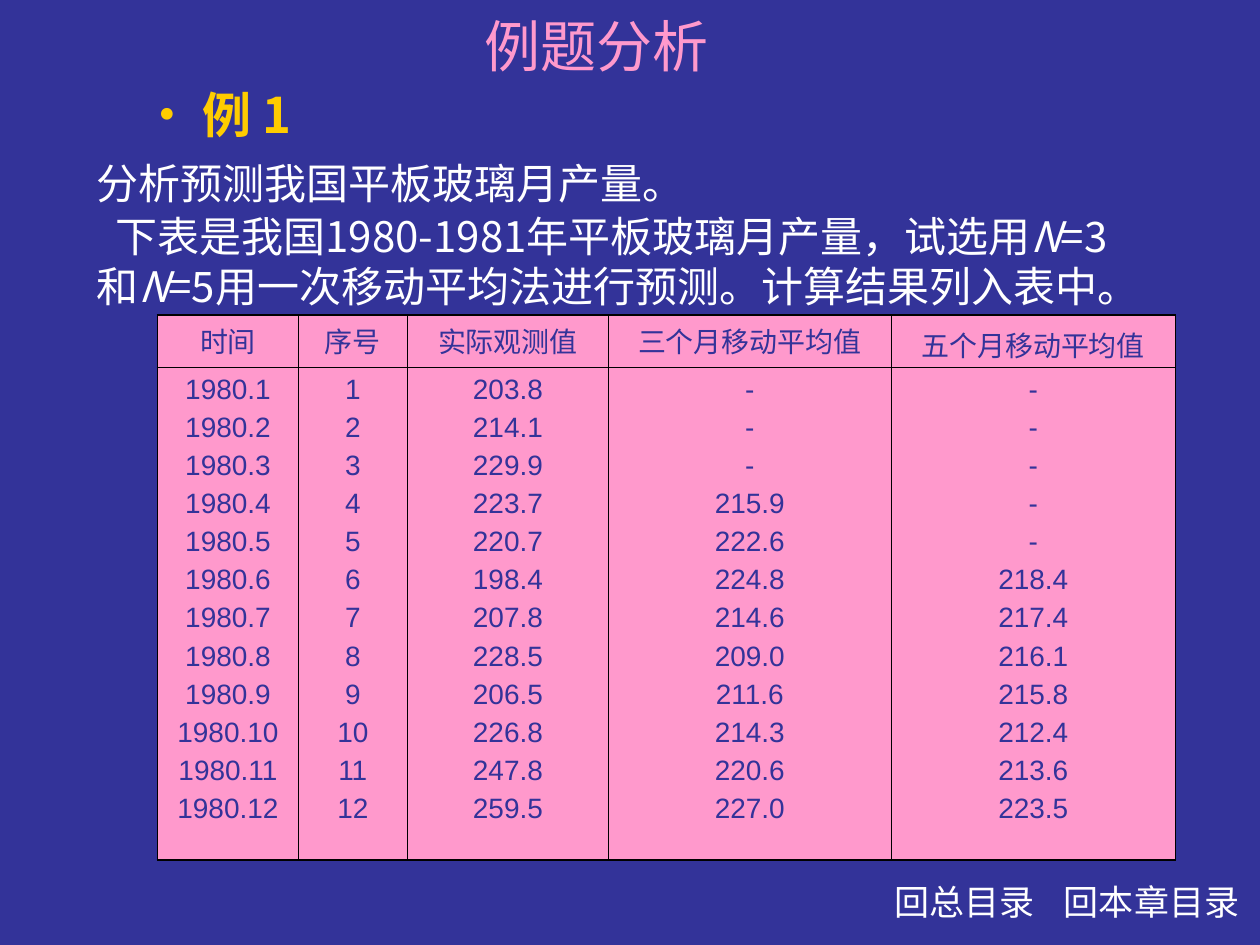
from dataclasses import dataclass

from lxml.etree import SubElement
from pptx import Presentation
from pptx.dml.color import RGBColor
from pptx.enum.text import MSO_ANCHOR as Anchor, MSO_AUTO_SIZE as AutoSize, PP_ALIGN as Align
from pptx.oxml.ns import qn
from pptx.util import Pt

CJK, SERIF, SANS = "Noto Sans CJK SC", "Times New Roman", "Arial"
NAVY, PINK, GOLD, WHITE, BLACK = "333399", "FF99CC", "FFCC00", "FFFFFF", "000000"
THIN, THICK = 0.45, 1.08


@dataclass
class Span:
    text: str
    size: float
    color: str
    font: str = CJK
    bold: bool = False
    italic: bool = False


@dataclass
class Para:
    spans: list[Span]
    line: float
    align: Align = Align.LEFT
    before: float = 0
    margin: float = 0
    indent: float = 0
    bullet: str = ""


@dataclass
class Box:
    left: float
    top: float
    width: float
    height: float
    paras: list[Para]
    inset_x: float = 7.2


@dataclass
class Column:
    title: str
    width: float
    values: list[str]
    title_inset: float = 3


def hex_color(value: str) -> RGBColor:
    return RGBColor.from_string(value)


def add_span(para, span: Span) -> None:
    run = para.add_run()
    run.text = span.text
    font = run.font
    font.size, font.name = Pt(span.size), span.font
    font.bold, font.italic = span.bold, span.italic
    font.color.rgb = hex_color(span.color)
    SubElement(font._element, qn("a:ea"), typeface=CJK)


def fill_text(frame, paras: list[Para]) -> None:
    for index, item in enumerate(paras):
        para = frame.paragraphs[0] if index == 0 else frame.add_paragraph()
        para.alignment = item.align
        para.line_spacing, para.space_before = Pt(item.line), Pt(item.before)
        props = para._p.get_or_add_pPr()
        props.set("marL", str(Pt(item.margin)))
        props.set("indent", str(Pt(item.indent)))
        if item.bullet:
            SubElement(props, qn("a:buFont"), typeface=SERIF)
            SubElement(props, qn("a:buChar"), char=item.bullet)
        for span in item.spans:
            add_span(para, span)


def add_box(page, box: Box) -> None:
    shape = page.shapes.add_textbox(Pt(box.left), Pt(box.top), Pt(box.width), Pt(box.height))
    frame = shape.text_frame
    frame.word_wrap, frame.auto_size = True, AutoSize.SHAPE_TO_FIT_TEXT
    frame.margin_left = frame.margin_right = Pt(box.inset_x)
    # Fixed line spacing lifts the first line by a tenth of its size.
    frame.margin_top = Pt(3.6 + box.paras[0].spans[0].size / 10)
    frame.margin_bottom = Pt(3.6)
    fill_text(frame, box.paras)


def set_borders(cell, left: float, right: float, top: float, bottom: float) -> None:
    props = cell._tc.get_or_add_tcPr()
    sides = {"a:lnL": left, "a:lnR": right, "a:lnT": top, "a:lnB": bottom}
    for index, (tag, width) in enumerate(sides.items()):
        line = SubElement(props, qn(tag), w=str(Pt(width)))
        SubElement(SubElement(line, qn("a:solidFill")), qn("a:srgbClr"), val=BLACK)
        props.insert(index, line)  # borders come before the fill


def add_data_table(page, left: float, top: float, heights: list[float],
                   columns: list[Column]) -> None:
    table = page.shapes.add_table(
        len(heights), len(columns), Pt(left), Pt(top),
        Pt(sum(column.width for column in columns)), Pt(sum(heights))).table
    table.first_row = table.horz_banding = False
    for row, height in zip(table.rows, heights):
        row.height = Pt(height)
    last = len(columns) - 1
    for index, column in enumerate(columns):
        table.columns[index].width = Pt(column.width)
        head, body = table.cell(0, index), table.cell(1, index)
        for cell in (head, body):
            cell.fill.solid()
            cell.fill.fore_color.rgb = hex_color(PINK)
            cell.margin_left = cell.margin_right = Pt(1.5)
            set_borders(cell, THICK if index == 0 else THIN, THICK if index == last else THIN,
                        THICK if cell is head else THIN, THICK if cell is body else THIN)
        head.vertical_anchor, body.vertical_anchor = Anchor.MIDDLE, Anchor.TOP
        head.margin_top, head.margin_bottom = Pt(column.title_inset), Pt(0)
        body.margin_top = body.margin_bottom = Pt(3.6)
        fill_text(head.text_frame,
                  [Para([Span(column.title, 16, NAVY, SANS)], 19.2, Align.CENTER)])
        fill_text(body.text_frame,
                  [Para([Span(value, 16, NAVY, SANS)], 17.8, Align.CENTER, before=4)
                   for value in column.values])


def intro(text: str, italic: bool = False) -> Span:
    return Span(text, 24, WHITE, italic=italic)


def link(text: str) -> Span:
    return Span(text, 20, WHITE, SERIF)


EXAMPLE = Box(24, 42, 612, 77.75, [
    Para([Span("例 1", 28, GOLD, bold=True)], 33.6, Align.JUSTIFY,
         margin=84.5, indent=-25, bullet="•"),
    Para([intro("分析预测我国平板玻璃月产量。")], 33.6, Align.JUSTIFY, before=3, margin=24)])
TITLE = Box(270, 0, 216, 46, [Para([Span("例题分析", 32, PINK)], 38.4)])
TASK = Box(48, 114, 612, 65, [
    Para([intro("下表是我国1980-1981年平板玻璃月产量，试选用"), intro("N", True),
          intro("=3和"), intro("N", True),
          intro("=5用一次移动平均法进行预测。计算结果列入表中。")], 28.8, indent=11)])
LINKS = [Box(500, 500, 102, 29, [Para([link("回总目录")], 21.6, Align.CENTER)], inset_x=0),
         Box(608, 500, 105, 29, [Para([link("回本章目录")], 21.6)], inset_x=0)]

MONTHS = range(1, 13)
COLUMNS = [
    Column("时间", 80.5, [f"1980.{month}" for month in MONTHS]),
    Column("序号", 62.25, [str(month) for month in MONTHS]),
    Column("实际观测值", 115, "203.8 214.1 229.9 223.7 220.7 198.4 207.8 228.5 "
           "206.5 226.8 247.8 259.5".split()),
    Column("三个月移动平均值", 161.5, ["-"] * 3 + "215.9 222.6 224.8 214.6 209.0 "
           "211.6 214.3 220.6 227.0".split()),
    Column("五个月移动平均值", 162.5, ["-"] * 5 + "218.4 217.4 216.1 215.8 212.4 "
           "213.6 223.5".split(), title_inset=7.5),
]


def main() -> None:
    deck = Presentation()
    deck.slide_width, deck.slide_height = Pt(720), Pt(540)
    page = deck.slides.add_slide(deck.slide_layouts[6])
    page.background.fill.solid()
    page.background.fill.fore_color.rgb = hex_color(NAVY)
    add_box(page, EXAMPLE)
    add_box(page, TITLE)
    add_data_table(page, 90, 180, [30, 281.5], COLUMNS)
    for box in (TASK, *LINKS):
        add_box(page, box)
    deck.save("out.pptx")


if __name__ == "__main__":
    main()
